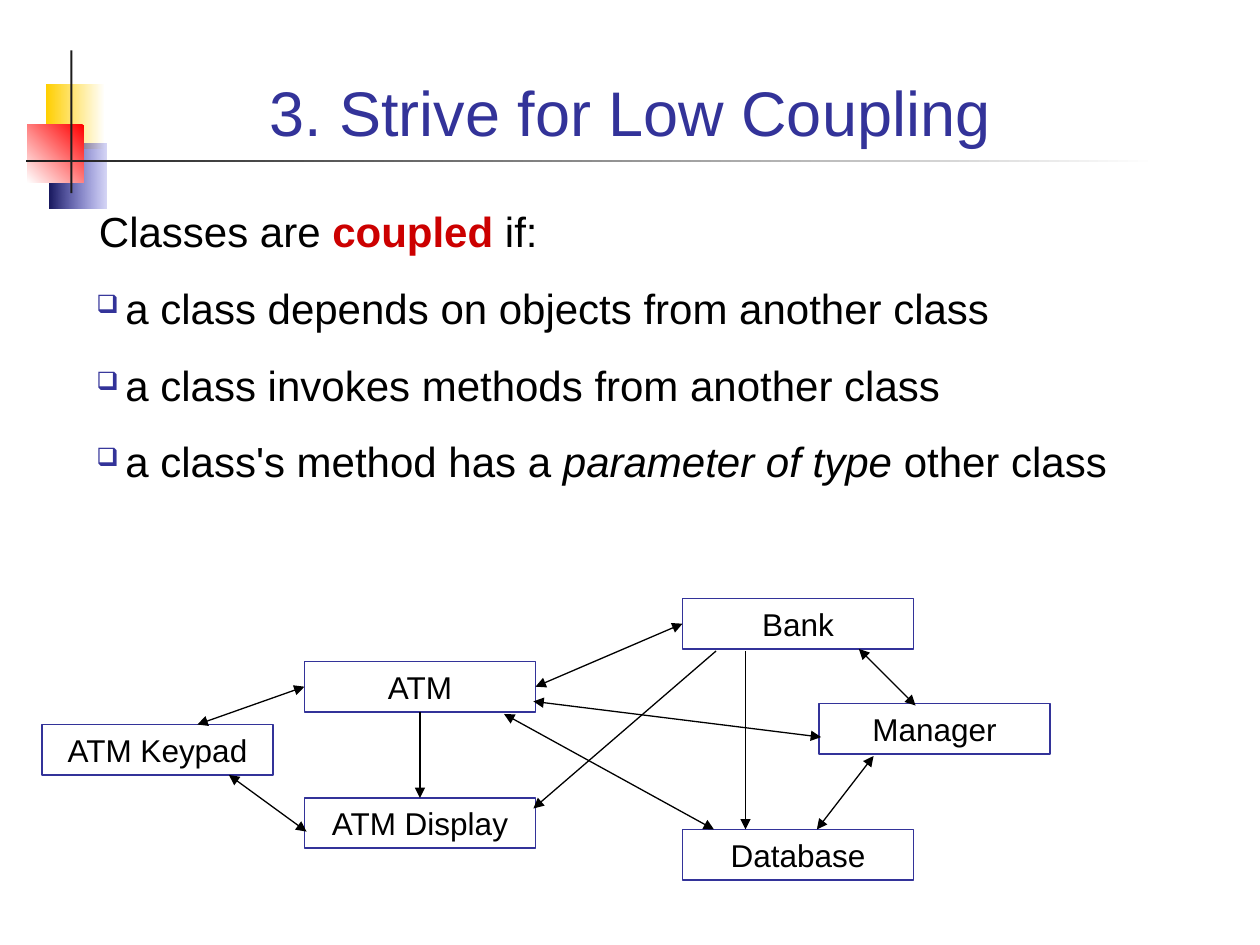
from lxml.etree import SubElement as Sub
from pptx import Presentation
from pptx.dml.color import RGBColor as Rgb
from pptx.enum.shapes import MSO_CONNECTOR as Conn, MSO_SHAPE as Kind
from pptx.enum.text import MSO_ANCHOR as Anchor, PP_ALIGN as Align
from pptx.oxml.ns import qn
from pptx.util import Inches, Pt

COLS, ROWS = 120, 90
CELL = Inches(10) / COLS
HUES = {"ink": "000000", "navy": "333399", "alert": "CC0000", "white": "FFFFFF",
        "gold": "FFCF01", "red": "FF0000", "blue": "3333CC", "deep": "17175E",
        "coal": "1C1C1C"}

# Part: left, top, width, height in cells; start hue, end hue, angle, start alpha
MARKS = [
    ((1.9, 3.2, 5.6, 6.2), "white", "gold", 180, 100),
    ((2.2, 8.9, 5.4, 6.2), "blue", "deep", 180, 20),
    ((0.1, 7.1, 5.4, 5.5), "red", "white", 225, 100),
    ((4.2, 0, 0.2, 13.6), "coal", "coal", 180, 100),
    ((0, 10.4, 107.8, 0.2), "white", "coal", 180, 100),
]
# Runs are (text, changes to the format)
POINTS = [
    [("Classes are ", {}), ("coupled", {"bold": True, "hue": "alert"}), (" if:", {})],
    [("a class depends on objects from another class", {})],
    [("a class invokes methods from another class", {})],
    [("a class's method has a ", {}), ("parameter of type", {"italic": True}),
     (" other class", {})],
]
WIDE, HIGH = 22, 4.8
NODES = {"Bank": (61, 0), "ATM": (25, 6), "Database": (61, 22),
         "ATM Display": (25, 19), "Manager": (74, 10), "ATM Keypad": (0, 12)}
# An end is a side number, or an offset in cells from the node's corner
LINKS = [
    ("ATM", 3, "Bank", 1, True),
    ("Manager", (0.2, 3.2), "ATM", (21.8, 3.8), True),
    ("Bank", (6, 5), "Database", (6, 0), False),
    ("ATM", (19, 5), "Database", (3, 0), True),
    ("ATM", 2, "ATM Display", 0, False),
    ("Bank", (3.2, 5), "ATM Display", (21.8, 1), False),
    ("Manager", (5.2, 5), "Database", (12.8, 0), True),
    ("Manager", (9.2, 0.2), "Bank", (16.8, 4.8), True),
    ("ATM Display", (0.2, 3.2), "ATM Keypad", (17.8, 4.8), True),
    ("ATM", 1, "ATM Keypad", (14.8, 0), True),
]


def cells(*vals):
    return [round(v * CELL) for v in vals]


def tint(name):
    return Rgb.from_string(HUES[name])


def write(para, text, **form):
    run = para.add_run()
    run.text = text
    run.font.color.rgb = tint(form.pop("hue", "ink"))
    for key, val in {"name": "Arial", **form}.items():
        setattr(run.font, key, val)


def rect(slide, box):
    shape = slide.shapes.add_shape(Kind.RECTANGLE, *cells(*box))
    shape.shadow.inherit = False
    return shape


def emblem(slide, box):
    for (x, y, w, h), first, last, turn, alpha in MARKS:
        mark = rect(slide, (box[0] + x, box[1] + y, w, h))
        mark.line.fill.background()
        if first == last:
            mark.fill.solid()
            mark.fill.fore_color.rgb = tint(first)
            continue
        mark.fill.gradient()
        mark.fill.gradient_angle = turn
        for stop, hue in zip(mark.fill.gradient_stops, (first, last)):
            stop.color.rgb = tint(hue)
        if alpha < 100:
            clr = next(mark._element.iter(qn("a:srgbClr")))
            Sub(clr, qn("a:alpha"), val=str(alpha * 1000))


def frame(slide, box, anchor):
    text = slide.shapes.add_textbox(*cells(*box)).text_frame
    text.word_wrap = True
    text.vertical_anchor = anchor
    return text


def title(slide, box):
    para = frame(slide, box, Anchor.BOTTOM).paragraphs[0]
    para.alignment = Align.CENTER
    write(para, "3. Strive for Low Coupling", size=Pt(36), hue="navy")


def body(slide, box):
    text = frame(slide, box, Anchor.TOP)
    for num, runs in enumerate(POINTS):
        para = text.add_paragraph() if num else text.paragraphs[0]
        props = para._p.get_or_add_pPr()
        props.set("marL", str(Inches(0.23 if num else 0.25)))
        props.set("indent", str(Inches(-0.23)))
        if num:
            para.space_before = Pt(15)
            clr = Sub(props, qn("a:buClr"))
            Sub(clr, qn("a:srgbClr"), val=HUES["navy"])
            Sub(props, qn("a:buSzPct"), val="60000")
            Sub(props, qn("a:buChar"), char="❑")
        for words, form in runs:
            write(para, words, size=Pt(24), **form)


def node(slide, name, box):
    shape = rect(slide, box)
    shape.fill.background()
    shape.line.color.rgb = tint("navy")
    shape.line.width = Pt(1)
    shape.text_frame.vertical_anchor = Anchor.MIDDLE
    para = shape.text_frame.paragraphs[0]
    para.alignment = Align.CENTER
    write(para, name, size=Pt(18))
    return shape


def link(slide, start, here, end, there, both):
    spots = [(0, 0) if isinstance(at, int) else cells(*at) for at in (here, there)]
    (ax, ay), (bx, by) = spots
    line = slide.shapes.add_connector(
        Conn.STRAIGHT, start.left + ax, start.top + ay, end.left + bx, end.top + by)
    if isinstance(here, int):
        line.begin_connect(start, here)
    if isinstance(there, int):
        line.end_connect(end, there)
    line.line.color.rgb = tint("ink")
    line.line.width = Pt(0.75)
    edge = line.line._get_or_add_ln()
    for tip in ("headEnd", "tailEnd") if both else ("tailEnd",):
        Sub(edge, qn("a:" + tip), type="triangle")
    Sub(line._element.spPr, qn("a:effectLst"))


def diagram(slide, box):
    nodes = {name: node(slide, name, (box[0] + x, box[1] + y, WIDE, HIGH))
             for name, (x, y) in NODES.items()}
    for start, here, end, there, both in LINKS:
        link(slide, nodes[start], here, nodes[end], there, both)


def main():
    deck = Presentation()
    deck.slide_width, deck.slide_height = cells(COLS, ROWS)
    slide = deck.slides.add_slide(deck.slide_layouts[6])
    # Regions: left, top, width, height in cells
    emblem(slide, (2.5, 4.8, 107.8, 15.2))
    title(slide, (8, 3.4, 104, 11.4))
    body(slide, (8, 19, 104, 38))
    diagram(slide, (4, 57, 96, 27))
    deck.save("out.pptx")


if __name__ == "__main__":
    main()
